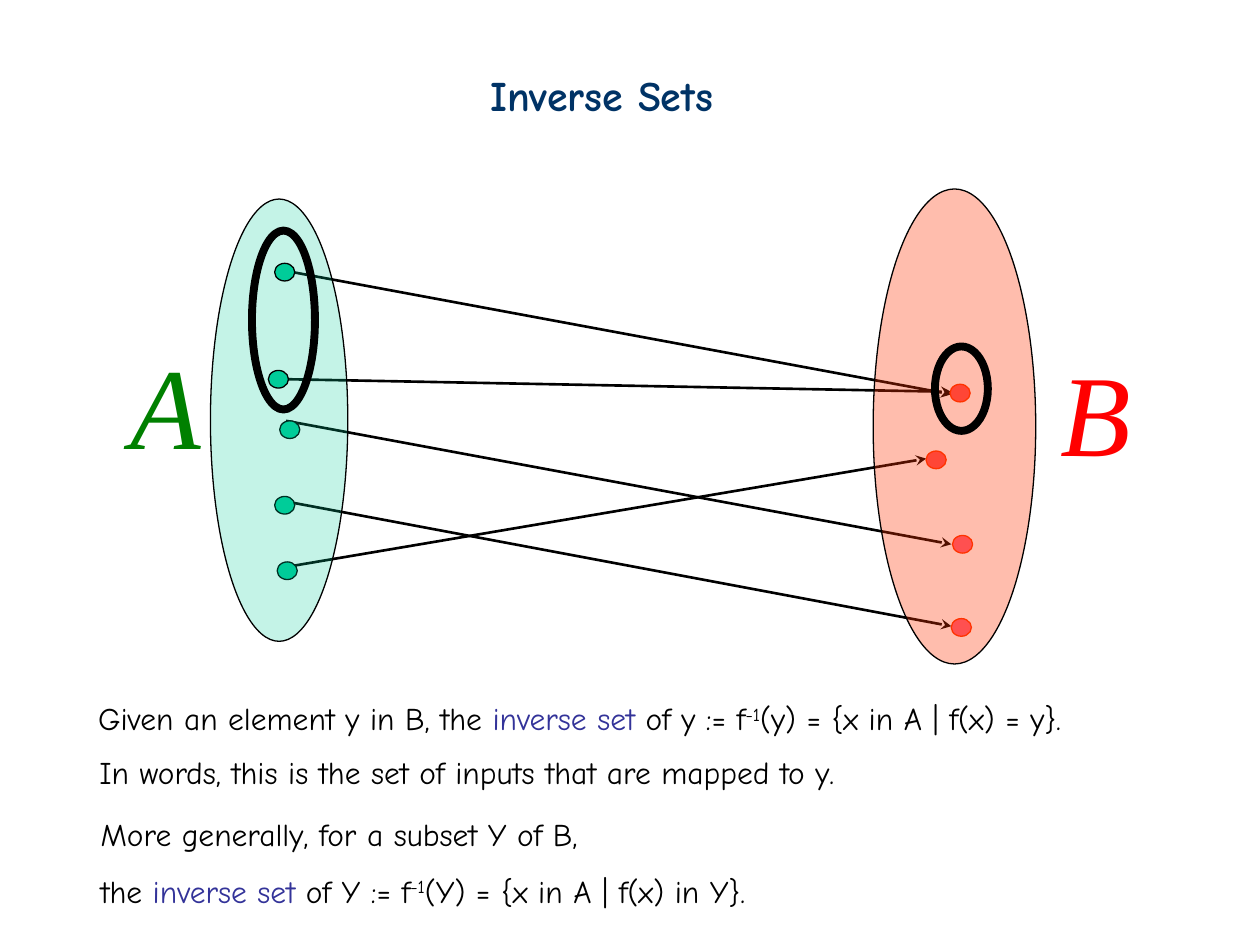
import dataclasses

import lxml.etree
import pptx
import pptx.dml.color
import pptx.enum.shapes
import pptx.enum.text
import pptx.oxml.ns
import pptx.util

Inches = pptx.util.Inches
qn = pptx.oxml.ns.qn


@dataclasses.dataclass(frozen=True)
class Theme:
    text_font: str = "Comic Neue"
    label_font: str = "Times New Roman"
    title_size: int = 24
    text_size: int = 18
    label_size: int = 66
    superscript: int = 30
    thin: float = 0.75
    arrow: float = 1.5
    thick: float = 4.5
    title: str = "003366"
    ink: str = "000000"
    term: str = "333399"
    domain: str = "00CC99"
    domain_label: str = "008000"
    codomain: str = "FF3300"
    codomain_dot: str = "FF5050"
    codomain_label: str = "FF0000"


THEME = Theme()
DOT_SIZE = (0.16, 0.14)
LABEL_SIZE = (0.76, 1.2)

# Kinds of run inside a statement
PLAIN, TERM, SUPER = range(3)
STATEMENTS = [
    ((0.68, 5.5, 8.57, 0.4), [
        [("Given an element y in B, the ", PLAIN), ("inverse set", TERM),
         (" of y := f", PLAIN), ("-1", SUPER),
         ("(y) = {x in A | f(x) = y}.", PLAIN)],
    ]),
    ((0.69, 5.93, 6.72, 0.4), [
        [("In words, this is the set of inputs that are mapped to y.", PLAIN)],
    ]),
    ((0.7, 6.42, 5.97, 0.86), [
        [("More generally, for a subset Y of B,", PLAIN)],
        [("the ", PLAIN), ("inverse set ", TERM), ("of Y := f", PLAIN),
         ("-1", SUPER), ("(Y) = {x in A | f(x) in Y}.", PLAIN)],
    ]),
]


def rgb(color):
    return pptx.dml.color.RGBColor.from_string(color)


def style_font(font, name, size, color, bold=False, italic=False):
    font.name = name
    font.size = pptx.util.Pt(size)
    font.color.rgb = rgb(color)
    font.bold = bold
    font.italic = italic


def place(shape, box):
    shape.left, shape.top, shape.width, shape.height = map(Inches, box)


def add_text_box(slide, box):
    frame = slide.shapes.add_textbox(*map(Inches, box)).text_frame
    frame.word_wrap = True
    return frame


def add_ellipse(slide, box, fill, line, width, opacity=None):
    """Draw an ellipse; fill None leaves it hollow, opacity is in percent."""
    ellipse = slide.shapes.add_shape(
        pptx.enum.shapes.MSO_SHAPE.OVAL, *map(Inches, box))
    ellipse.shadow.inherit = False
    ellipse.line.color.rgb = rgb(line)
    ellipse.line.width = pptx.util.Pt(width)
    if fill is None:
        ellipse.fill.background()
        return
    ellipse.fill.solid()
    ellipse.fill.fore_color.rgb = rgb(fill)
    if opacity is not None:
        color = ellipse.fill._xPr.find(".//" + qn("a:srgbClr"))
        alpha = lxml.etree.SubElement(color, qn("a:alpha"))
        alpha.set("val", str(opacity * 1000))


def add_title(slide, box):
    title = slide.shapes.title
    place(title, box)
    frame = title.text_frame
    frame.text = "Inverse Sets"
    frame.vertical_anchor = pptx.enum.text.MSO_ANCHOR.TOP
    paragraph = frame.paragraphs[0]
    paragraph.alignment = pptx.enum.text.PP_ALIGN.LEFT
    style_font(paragraph.runs[0].font, THEME.text_font, THEME.title_size,
               THEME.title, bold=True)


def add_mapping(slide, box, arrows):
    """Draw arrows whose (x, y, x, y) ends are offsets from the box corner."""
    left, top = box[:2]
    for x1, y1, x2, y2 in arrows:
        arrow = slide.shapes.add_connector(
            pptx.enum.shapes.MSO_CONNECTOR.STRAIGHT,
            Inches(left + x1), Inches(top + y1),
            Inches(left + x2), Inches(top + y2))
        arrow.line.color.rgb = rgb(THEME.ink)
        arrow.line.width = pptx.util.Pt(THEME.arrow)
        properties = arrow._element.spPr
        head = lxml.etree.SubElement(properties.find(qn("a:ln")),
                                     qn("a:tailEnd"))
        head.set("type", "stealth")
        lxml.etree.SubElement(properties, qn("a:effectLst"))


def add_set(slide, box, fill, opacity, dot_fill, dot_line,
            dots_below, dots_above, ring):
    """Draw a set, its elements under and over the tint, and a subset ring."""
    left, top = box[:2]

    def add_dots(offsets):
        for x, y in offsets:
            add_ellipse(slide, (left + x, top + y, *DOT_SIZE),
                        dot_fill, dot_line, THEME.thin)

    add_dots(dots_below)
    add_ellipse(slide, box, fill, THEME.ink, THEME.thin, opacity)
    add_dots(dots_above)
    x, y, width, height = ring
    add_ellipse(slide, (left + x, top + y, width, height),
                None, THEME.ink, THEME.thick)


def add_label(slide, box, letter, color):
    frame = add_text_box(slide, box)
    frame.text = letter
    style_font(frame.paragraphs[0].runs[0].font, THEME.label_font,
               THEME.label_size, color, italic=True)


def add_statement(slide, box, lines):
    frame = add_text_box(slide, box)
    for index, pieces in enumerate(lines):
        paragraph = frame.add_paragraph() if index else frame.paragraphs[0]
        if index:
            paragraph.line_spacing = 1.5
        for text, kind in pieces:
            run = paragraph.add_run()
            run.text = text
            style_font(run.font, THEME.text_font, THEME.text_size,
                       THEME.term if kind == TERM else THEME.ink)
            if kind == SUPER:
                run._r.get_or_add_rPr().set(
                    "baseline", str(THEME.superscript * 1000))


def main():
    deck = pptx.Presentation()
    deck.slide_width, deck.slide_height = Inches(10), Inches(7.5)
    slide = deck.slides.add_slide(deck.slide_layouts.get_by_name("Title Only"))

    add_title(slide, (3.79, 0.5, 2.29, 0.5))
    add_mapping(slide, (2.27, 2.15, 5.28, 2.82), [
        (0, 0, 5.28, 0.98),
        (0.02, 0.86, 5.28, 0.96),
        (0, 1.19, 5.28, 2.17),
        (0, 1.83, 5.28, 2.82),
        (0, 2.35, 5.08, 1.49),
    ])
    add_set(slide, (1.67, 1.58, 1.09, 3.51), THEME.domain, 23,
            THEME.domain, THEME.ink,
            dots_below=[(0.55, 1.76), (0.51, 2.36), (0.53, 2.88)],
            dots_above=[(0.51, 0.51), (0.46, 1.36)],
            ring=(0.33, 0.25, 0.5, 1.42))
    add_set(slide, (6.93, 1.5, 1.29, 3.77), THEME.codomain, 32,
            THEME.codomain_dot, THEME.codomain,
            dots_below=[(0.42, 2.08), (0.61, 1.55)],
            dots_above=[(0.63, 2.75), (0.62, 3.41)],
            ring=(0.49, 1.25, 0.42, 0.67))
    add_label(slide, (0.94, 2.6, *LABEL_SIZE), "A", THEME.domain_label)
    add_label(slide, (8.32, 2.66, *LABEL_SIZE), "B", THEME.codomain_label)
    for box, lines in STATEMENTS:
        add_statement(slide, box, lines)

    deck.save("out.pptx")


if __name__ == "__main__":
    main()
